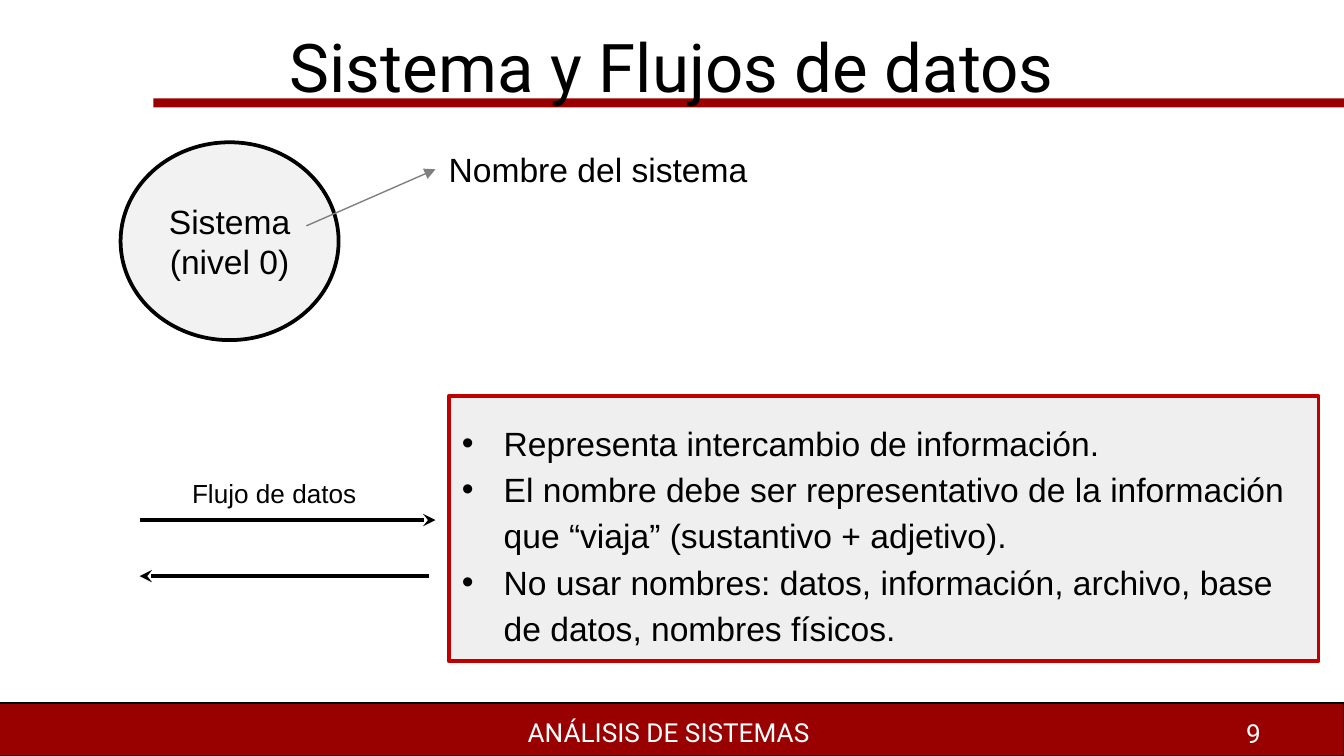
"""Build the slide on the system and its data flows."""
from lxml.etree import SubElement
from pptx import Presentation
from pptx.dml.color import RGBColor
from pptx.enum.shapes import MSO_CONNECTOR, MSO_SHAPE
from pptx.enum.text import MSO_ANCHOR, PP_ALIGN
from pptx.oxml.ns import qn
from pptx.util import Cm, Pt

HUES = {
    "black": "000000", "white": "FFFFFF", "maroon": "990000", "red": "C00000",
    "pale": "F2F2F2", "gray": "D8D8D8", "dark": "7F7F7F",
}


def tint(name):
    return RGBColor.from_string(HUES[name])


def write(shape, text, size, font="Arial", hue="black", align=PP_ALIGN.LEFT):
    frame = shape.text_frame
    frame.word_wrap = True
    frame.text = text
    for para in frame.paragraphs:
        para.alignment = align
        for run in para.runs:
            run.font.size = Pt(size)
            run.font.name = font
            run.font.color.rgb = tint(hue)
    return frame


deck = Presentation()
deck.slide_width, deck.slide_height = Cm(25.4), Cm(14.29)
slide = deck.slides.add_slide(deck.slide_layouts[6])
shapes = slide.shapes

forms = []
for kind, box, fill, line, width in [
    (MSO_SHAPE.RECTANGLE, (-0.1, 13.29, 25.5, 1), "maroon", "black", 0.75),
    (MSO_SHAPE.RECTANGLE, (2.9, 1.86, 22.5, 0.17), "maroon", None, 0),
    (MSO_SHAPE.RECTANGLE, (8.48, 7.49, 16.44, 5), "gray", "red", 2),
    (MSO_SHAPE.OVAL, (2.28, 2.69, 4.12, 3.74), "pale", "black", 2),
]:
    form = shapes.add_shape(kind, *map(Cm, box))
    form.shadow.inherit = False
    form.fill.solid()
    form.fill.fore_color.rgb = tint(fill)
    if line:
        form.line.color.rgb = tint(line)
        form.line.width = Pt(width)
    else:
        form.line.fill.background()
    forms.append(form)

panel, circle = forms[2:]
shade = panel.fill._xPr.find(qn("a:solidFill"))[0]
SubElement(shade, qn("a:alpha"), val="40000")
frame = write(circle, "Sistema\n(nivel 0)", 18, align=PP_ALIGN.CENTER)
frame.vertical_anchor = MSO_ANCHOR.MIDDLE

for start, end, hue, width, head in [
    ((5.79, 4.27), (8.23, 3.2), "dark", 0.75, "triangle"),
    ((2.64, 9.83), (8.23, 9.83), "black", 2.25, "stealth"),
    ((8.1, 10.89), (2.64, 10.89), "black", 2.25, "stealth"),
]:
    arrow = shapes.add_connector(MSO_CONNECTOR.STRAIGHT, *map(Cm, start + end))
    arrow.line.color.rgb = tint(hue)
    arrow.line.width = Pt(width)
    SubElement(arrow.line._ln, qn("a:tailEnd"), type=head)
    SubElement(arrow._element.spPr, qn("a:effectLst"))

for box, text, size, font, hue, align in [
    ((0, 0.58, 25.4, 1.32), "Sistema y Flujos de datos", 36, "Roboto", "black", PP_ALIGN.CENTER),
    ((0, 13.41, 25.4, 0.86), "ANÁLISIS DE SISTEMAS ", 14, "Roboto", "white", PP_ALIGN.CENTER),
    ((18.16, 13.44, 5.92, 0.86), "9", 14, "Roboto", "white", PP_ALIGN.RIGHT),
    ((8.23, 2.69, 6.22, 1.02), "Nombre del sistema", 18, "Arial", "black", PP_ALIGN.LEFT),
    ((3.38, 8.89, 3.63, 0.86), "Flujo de datos", 14, "Arial", "black", PP_ALIGN.LEFT),
]:
    label = shapes.add_textbox(*map(Cm, box))
    frame = write(label, text, size, font, hue, align)
    if size == 36:
        frame.vertical_anchor = MSO_ANCHOR.MIDDLE

rules = [
    "Representa intercambio de información.",
    "El nombre debe ser representativo de la información que “viaja” (sustantivo + adjetivo).",
    "No usar nombres: datos, información, archivo, base de datos, nombres físicos.",
]
notes = shapes.add_textbox(*map(Cm, (8.48, 7.75, 16.44, 4.57)))
for para in write(notes, "\n".join(rules), 18).paragraphs:
    para.line_spacing = 1.15
    props = para._p.get_or_add_pPr()
    props.set("marL", str(Cm(0.79)))
    props.set("indent", str(Cm(-0.79)))
    color = SubElement(props, qn("a:buClr"))
    SubElement(color, qn("a:srgbClr"), val=HUES["black"])
    SubElement(props, qn("a:buFont"), typeface="Arial")
    SubElement(props, qn("a:buChar"), char="•")

deck.save("out.pptx")
